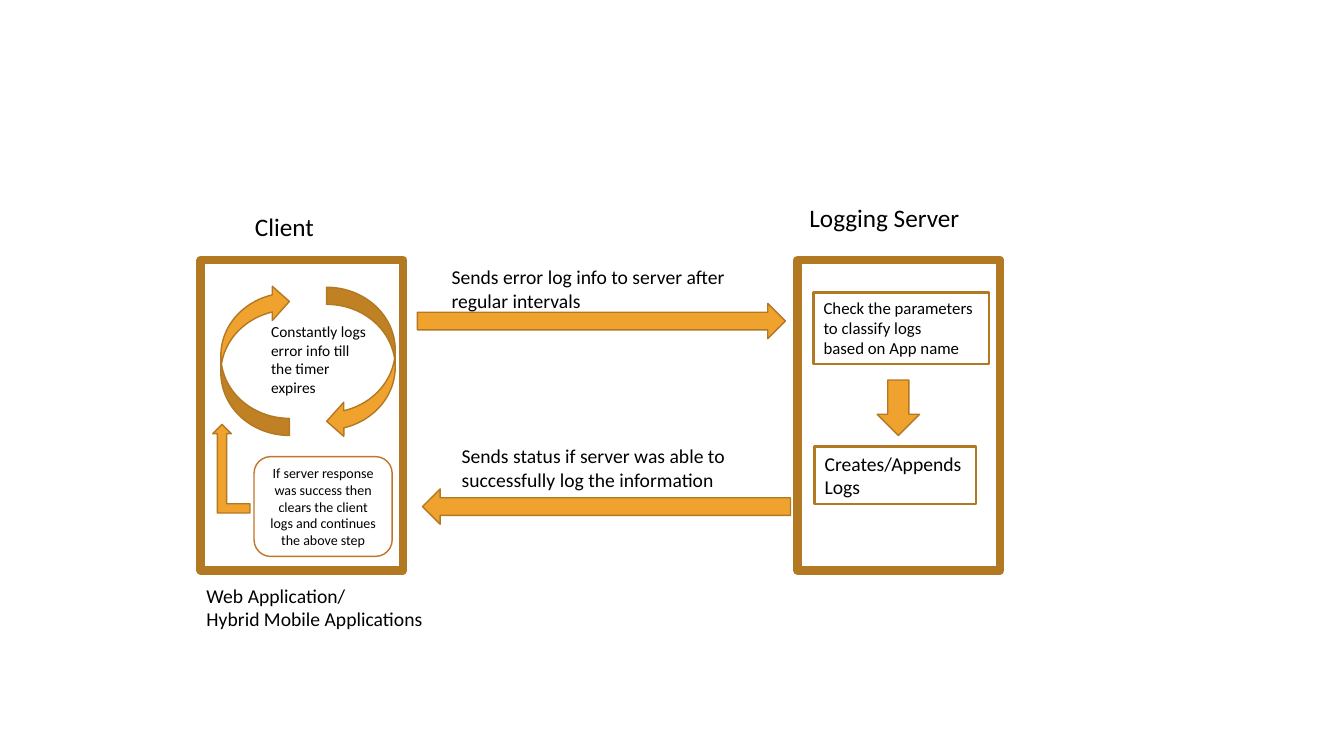
from pptx import Presentation, util as u
from pptx.dml.color import RGBColor
from pptx.enum import shapes, text

HUES = {"gold": "F0A22E", "edge": "B27822", "rust": "C17529",
        "white": "FFFFFF", "black": "000000"}
KIND = shapes.MSO_SHAPE
SIDE = text.PP_ALIGN
HOLD = text.MSO_ANCHOR


class Board:
    """Holds the style and the current slide."""
    font = "Calibri"

    def __init__(self, deck):
        self.slide = deck.slides.add_slide(deck.slide_layouts[6])

    def hue(self, name):
        return RGBColor.from_string(HUES[name])

    def words(self, item, lines, size, side=SIDE.LEFT, hold=HOLD.TOP, wrap=True):
        frame = item.text_frame
        frame.word_wrap = wrap
        frame.vertical_anchor = hold
        for i, line in enumerate(lines):
            para = frame.add_paragraph() if i else frame.paragraphs[0]
            para.alignment = side
            run = para.add_run()
            run.text = line
            run.font.size = u.Pt(size)
            run.font.name = self.font
            run.font.color.rgb = self.hue("black")

    def label(self, spot, lines, size, wrap=True):
        item = self.slide.shapes.add_textbox(*map(u.Inches, spot))
        self.words(item, lines, size, wrap=wrap)

    def shape(self, kind, spot, fill=None, edge="edge", width=1):
        item = self.slide.shapes.add_shape(kind, *map(u.Inches, spot))
        item.shadow.inherit = False
        if fill:
            item.fill.solid()
            item.fill.fore_color.rgb = self.hue(fill)
        else:
            item.fill.background()
        item.line.color.rgb = self.hue(edge)
        item.line.width = u.Pt(width)
        return item

    def arrow(self, kind, spot, turn=0, flip=False):
        item = self.shape(kind, spot, "gold")
        item.rotation = turn
        if flip:
            item._element.spPr.xfrm.set("flipH", "1")


deck = Presentation()
deck.slide_width, deck.slide_height = u.Inches(13.33), u.Inches(7.5)
board = Board(deck)

# Client and server frames with their titles
for left in (1.99, 7.91):
    board.shape(KIND.RECTANGLE, (left, 2.58, 2.01, 3.08), width=6)
board.label((2.43, 2.05, 0.99, 0.4), ["Client"], 18)
board.label((1.95, 5.74, 2.37, 0.57),
            ["Web Application/", "Hybrid Mobile Applications"], 14, wrap=False)
board.label((7.93, 1.96, 1.96, 0.4), ["Logging Server"], 18)

# Logging loop in the client
for left, top, turn in ((3.24, 2.85, 0), (2.19, 2.82, 180)):
    board.arrow(KIND.CURVED_LEFT_ARROW, (left, top, 0.68, 1.5), turn)
board.label((2.59, 3.15, 1.15, 0.84),
            ["Constantly logs error info till the timer expires"], 11)

# Messages between client and server
for left, top, turn in ((4.14, 3.01, 0), (4.19, 4.85, 180)):
    board.arrow(KIND.RIGHT_ARROW, (left, top, 3.65, 0.35), turn)
for left, top, note in (
        (4.38, 2.58, "Sends error log info to server after regular intervals"),
        (4.48, 4.36, "Sends status if server was able to successfully log the information")):
    board.label((left, top, 3.08, 0.57), [note], 14)

# Client step after the response
reset = board.shape(KIND.ROUNDED_RECTANGLE, (2.52, 4.53, 1.37, 0.99), "white", "rust")
board.words(reset, ["If server response was success then clears the client "
                    "logs and continues the above step"], 10, SIDE.CENTER, HOLD.MIDDLE)
board.arrow(KIND.BENT_UP_ARROW, (2.11, 4.21, 0.37, 0.88), flip=True)

# Server steps
check = board.shape(KIND.RECTANGLE, (8.07, 2.9, 1.74, 0.71), width=1.75)
board.words(check, ["Check the parameters", "to classify logs", "based on App name"],
            12, wrap=False)
store = board.shape(KIND.RECTANGLE, (8.08, 4.43, 1.6, 0.57), width=1.75)
board.words(store, ["Creates/Appends Logs"], 14)
board.arrow(KIND.DOWN_ARROW, (8.7, 3.77, 0.42, 0.55))

deck.save("out.pptx")
